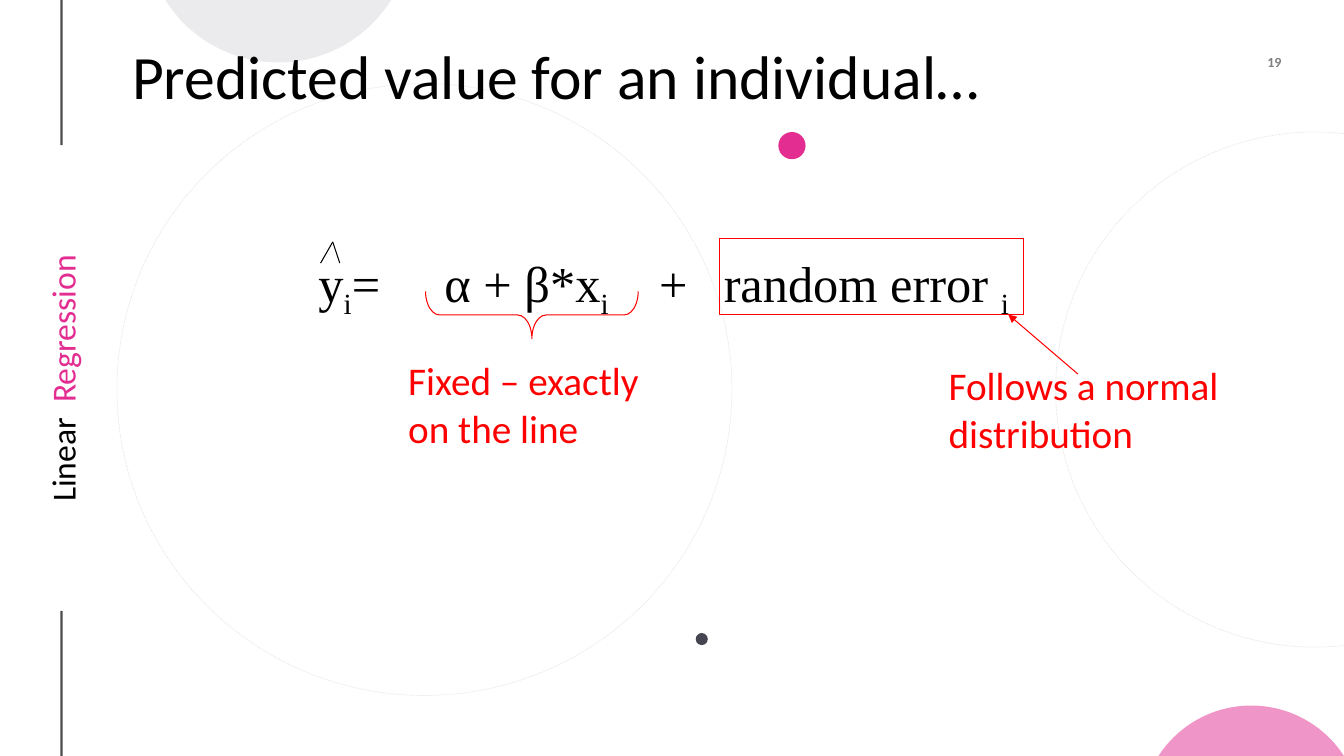
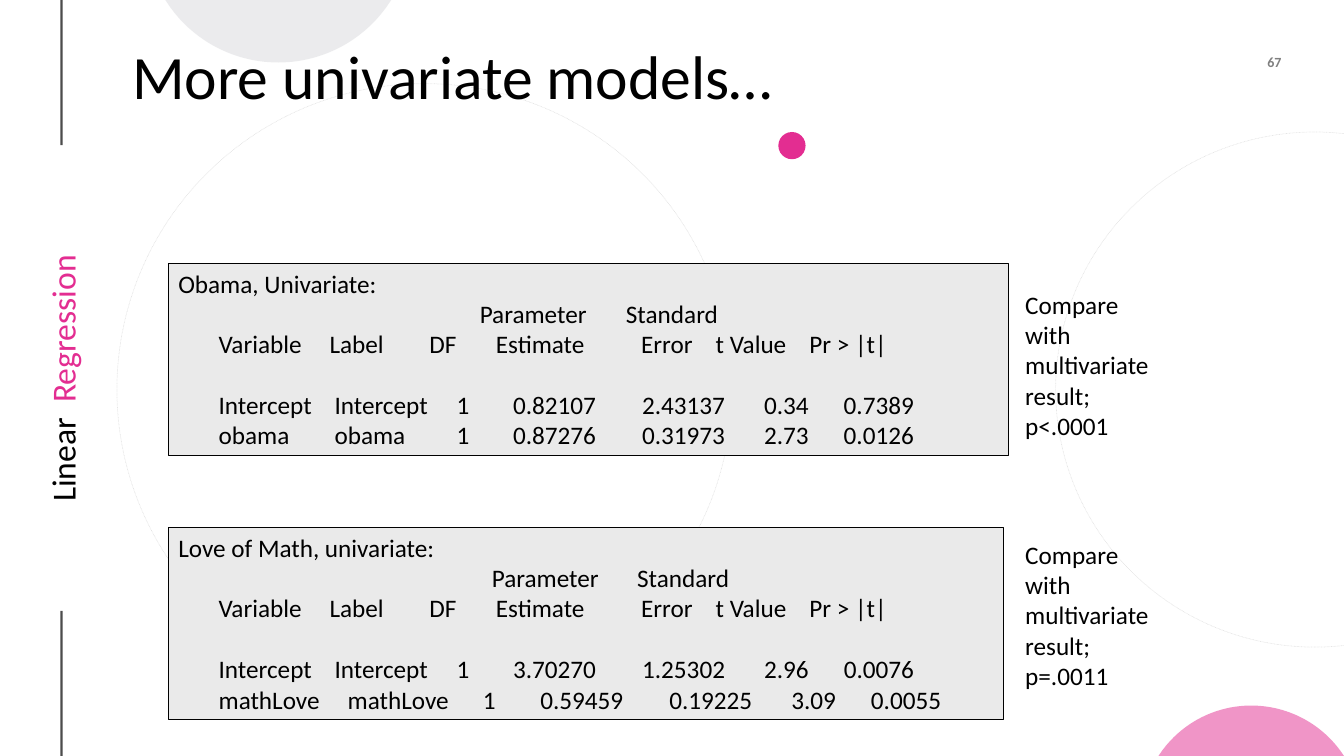
from math import sqrt

from lxml.etree import SubElement
from pptx import Presentation
from pptx.dml.color import RGBColor
from pptx.enum.dml import MSO_LINE
from pptx.enum.shapes import MSO_CONNECTOR as LINK, MSO_SHAPE as SHAPE
from pptx.enum.text import MSO_ANCHOR as ANCHOR, PP_ALIGN as ALIGN
from pptx.oxml.ns import qn
from pptx.util import Inches, Pt

BLACK, PINK, RED = "000000", "E32D91", "FF0000"
SLATE, MIST, PANEL = "454551", "D8D9DC", "EAEAEA"
SANS, SERIF = "Calibri", "Times New Roman"


def color(value):
    return RGBColor.from_string(value)


def fade(item, percent):
    """Set the opacity of every plain colour in a shape."""
    for tint in item.element.iter(qn("a:srgbClr")):
        SubElement(tint, qn("a:alpha")).set("val", str(percent * 1000))


def box_inches(box):
    return [Inches(value) for value in box]


# Text
def add_span(para, text, size, ink=BLACK, font=SANS, bold=False):
    span = para.add_run()
    span.text = text
    for name, value in {"size": Pt(size), "name": font, "bold": bold}.items():
        setattr(span.font, name, value)
    span.font.color.rgb = color(ink)
    return span


def set_tabs(para, stops):
    tabs = SubElement(para._p.get_or_add_pPr(), qn("a:tabLst"))
    for stop in stops:
        tab = SubElement(tabs, qn("a:tab"))
        tab.set("pos", str(Inches(stop)))
        tab.set("algn", "l")


def format_frame(frame, anchor=ANCHOR.TOP, inset=None):
    frame.word_wrap = True
    frame.vertical_anchor = anchor
    if inset is not None:
        for side in ("left", "top", "right", "bottom"):
            setattr(frame, f"margin_{side}", Inches(inset))
    return frame.paragraphs[0]


def add_text(page, box, text="", size=18, ink=BLACK):
    para = format_frame(page.shapes.add_textbox(*box_inches(box)).text_frame)
    if text:
        add_span(para, text, size, ink)
    return para


# Shapes and lines
def style_shape(shape, fill=None, line=None, width=0.75):
    shape.shadow.inherit = False
    if fill:
        shape.fill.solid()
        shape.fill.fore_color.rgb = color(fill)
    else:
        shape.fill.background()
    if line:
        shape.line.color.rgb = color(line)
        shape.line.width = Pt(width)
    else:
        shape.line.fill.background()
    return shape


def add_shape(page, kind, box, **style):
    return style_shape(page.shapes.add_shape(kind, *box_inches(box)), **style)


def add_line(page, start, end, ink=BLACK, width=0.75, arrow=False):
    line = page.shapes.add_connector(LINK.STRAIGHT, *box_inches(start + end))
    line.line.color.rgb = color(ink)
    line.line.width = Pt(width)
    if arrow:
        SubElement(line.line._get_or_add_ln(), qn("a:tailEnd")).set("type", "triangle")
    SubElement(line.element.spPr, qn("a:effectLst"))
    return line


def add_circle_cap(page, middle, edge, half, depth, fill, steps=48):
    """Draw a circle segment on a slide edge; negative depth rises."""
    height = abs(depth)
    radius = (half ** 2 + height ** 2) / (2 * height)
    points = []
    for step in range(steps + 1):
        across = half * (2 * step / steps - 1)
        rise = sqrt(radius ** 2 - across ** 2) - radius + height
        points.append((Inches(middle + across),
                       Inches(edge + rise * depth / height)))
    outline = page.shapes.build_freeform(*points[0], scale=1.0)
    outline.add_line_segments(points[1:], close=True)
    fade(style_shape(outline.convert_to_shape(), fill=fill), 50)


# Shared slide parts
def add_side_label(page, box):
    label = page.shapes.add_textbox(*box_inches(box))
    label.rotation = 270
    para = format_frame(label.text_frame, ANCHOR.MIDDLE, 0.02)
    para.alignment = ALIGN.CENTER
    add_span(para, "Linear", 24)
    gap = add_span(para, " ", 24)
    gap.font._element.set("spc", "540")
    add_span(para, "Regression", 24, PINK)


def add_page_number(page, box, number):
    holder = page.shapes.add_textbox(*box_inches(box))
    para = format_frame(holder.text_frame, ANCHOR.MIDDLE, 0)
    para.alignment = ALIGN.RIGHT
    add_span(para, str(number), 10, bold=True)
    fade(holder, 50)


def add_page(deck, title, number):
    page = deck.slides.add_slide(deck.slide_layouts[5])
    for top, bottom in ((0, 1.44), (6.06, 7.5)):
        fade(add_line(page, (0.61, top), (0.61, bottom), width=1.5), 70)
    add_side_label(page, (-1.69, 3.53, 4.61, 0.45))
    add_page_number(page, (11.94, 0.48, 0.77, 0.27), number)
    for box in ((10.47, 1.31, 5.14, 5.11), (1.16, 0.83, 6.1, 6.07)):
        ring = add_shape(page, SHAPE.OVAL, box, line=BLACK, width=0.5)
        ring.line.dash_style = MSO_LINE.ROUND_DOT
        fade(ring, 10)
    add_shape(page, SHAPE.OVAL, (7.72, 1.31, 0.27, 0.27), fill=PINK)
    add_circle_cap(page, 12.41, 7.5, 0.92, -0.5, PINK)
    add_circle_cap(page, 2.76, 0, 1.12, 0.62, MIST)

    # Title, brought in front of the decoration
    heading = page.shapes.title
    places = box_inches((1.21, 0.4, 11.21, 0.77))
    for name, value in zip(("left", "top", "width", "height"), places):
        setattr(heading, name, value)
    para = format_frame(heading.text_frame, ANCHOR.MIDDLE)
    para.alignment = ALIGN.LEFT
    para.line_spacing = 0.9
    add_span(para, title, 44)
    heading.element.getparent().append(heading.element)
    return page


# Regression equation with its two remarks
def add_equation(page, left, top):
    para = add_text(page, (left, top, 7.38, 0.64))
    set_tabs(para, (1.25, 3.38, 4.02))
    for text in ("y", "=\tα + β*x", "\t+\trandom error "):
        add_span(para, text, 36, font=SERIF)
        index = add_span(para, "i", 36, font=SERIF)
        index.font._element.set("baseline", "-25000")
    # Hat over y
    peak = (left + 0.24, top - 0.05)
    for foot in (left + 0.12, left + 0.31):
        add_line(page, (foot, top + 0.16), peak)


def add_error_remark(page, left, top):
    add_shape(page, SHAPE.RECTANGLE, (left, top, 3.01, 0.75), line=RED)
    add_line(page, (left + 3.55, top + 1.34), (left + 2.86, top + 0.75), RED, arrow=True)
    add_text(page, (left + 2.17, top + 1.17, 2.95, 1.03),
             "Follows a normal distribution", 28, RED)


def add_fixed_remark(page, left, top):
    brace = add_shape(page, SHAPE.RIGHT_BRACE,
                      (left + 1.09, top - 1.42, 0.47, 2.11), line=RED)
    brace.rotation = 90
    brace.adjustments[0] = 0.3
    add_text(page, (left, top, 2.5, 1.04), "Fixed – exactly on the line", 28, RED)


# Model output panel with the remark beside it
HEADS = (["Variable", "Label", "DF", "Estimate", "Error", "t Value", "Pr > |t|"],
         (0.4, 1.5, 2.49, 3.15, 4.59, 5.33, 6.26))
VALUE_STOPS = (0.4, 1.55, 2.76, 3.32, 4.6, 5.81, 6.6)
WIDE_STOPS = (0.4, 1.68, 3.02, 3.59, 4.87, 6.08, 6.87)


def add_model(page, box, title, top_stops, rows, remark_top, p_value):
    panel = add_shape(page, SHAPE.RECTANGLE, box, fill=PANEL, line=BLACK)
    para = format_frame(panel.text_frame)
    para.alignment = ALIGN.LEFT
    add_span(para, title, 18)
    lines = [(["Parameter", "Standard"], top_stops), HEADS, *rows]
    for number, (cells, stops) in enumerate(lines):
        para = panel.text_frame.add_paragraph()
        para.alignment = ALIGN.LEFT
        if number == 2:
            para.space_before = Pt(22)
        set_tabs(para, stops)
        add_span(para, "".join("\t" + cell for cell in cells), 18)
    add_text(page, (10.07, remark_top, 1.6, 1.6),
             f"Compare with multivariate result; {p_value}")


def build_prediction_page(deck):
    page = add_page(deck, "Predicted value for an individual…", 19)
    add_shape(page, SHAPE.OVAL, (6.9, 6.28, 0.12, 0.12), fill=SLATE)
    add_equation(page, 3.06, 2.45)
    add_error_remark(page, 7.14, 2.37)
    add_fixed_remark(page, 3.95, 3.49)


def build_models_page(deck):
    page = add_page(deck, "More univariate models…", 67)
    add_model(page, (1.67, 2.61, 8.33, 1.91), "Obama, Univariate:", (2.99, 4.44), [
        (["Intercept", "Intercept", "1", "0.82107", "2.43137", "0.34", "0.7389"], VALUE_STOPS),
        (["obama", "obama", "1", "0.87276", "0.31973", "2.73", "0.0126"], VALUE_STOPS),
    ], 2.82, "p<.0001")
    add_model(page, (1.67, 5.23, 8.28, 1.91), "Love of Math, univariate:", (3.11, 4.55), [
        (["Intercept", "Intercept", "1", "3.70270", "1.25302", "2.96", "0.0076"], VALUE_STOPS),
        (["mathLove", "mathLove", "1", "0.59459", "0.19225", "3.09", "0.0055"], WIDE_STOPS),
    ], 5.3, "p=.0011")


def main():
    deck = Presentation()
    deck.slide_width, deck.slide_height = Inches(13.33), Inches(7.5)
    build_prediction_page(deck)
    build_models_page(deck)
    deck.save("out.pptx")


if __name__ == "__main__":
    main()
